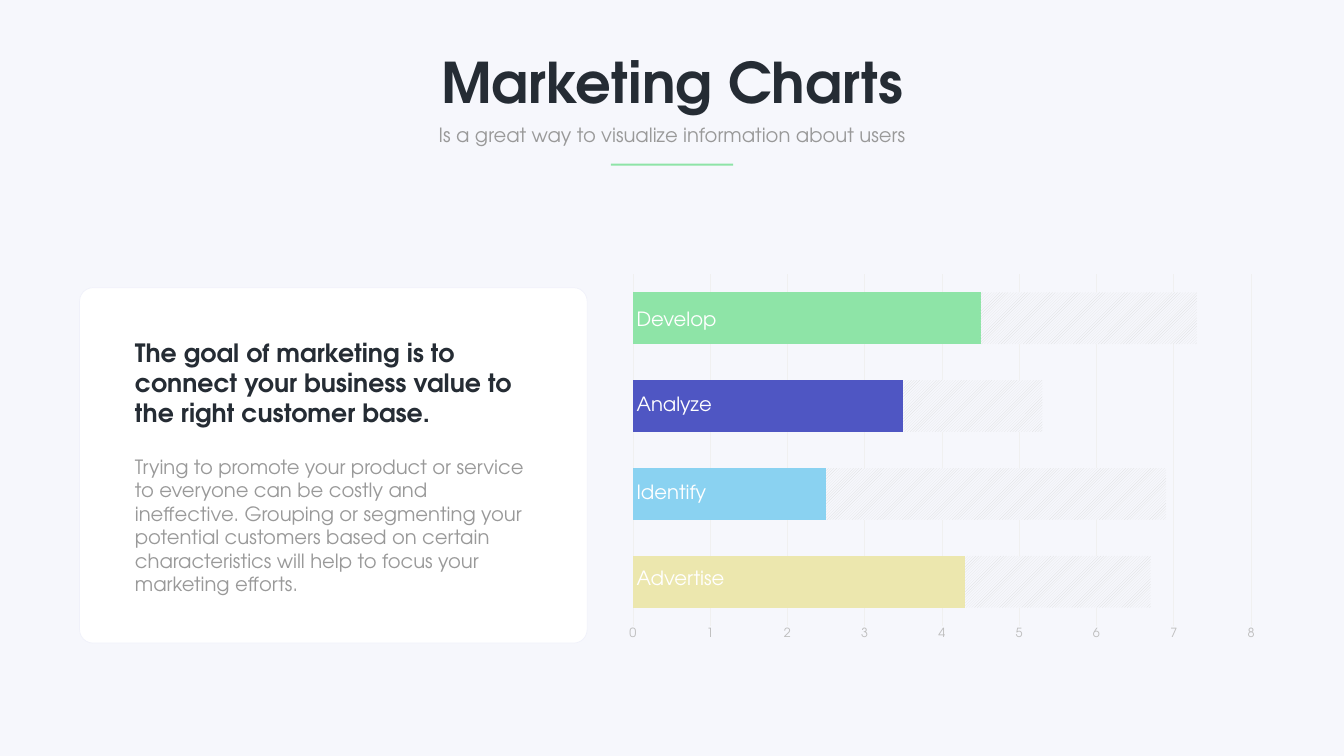
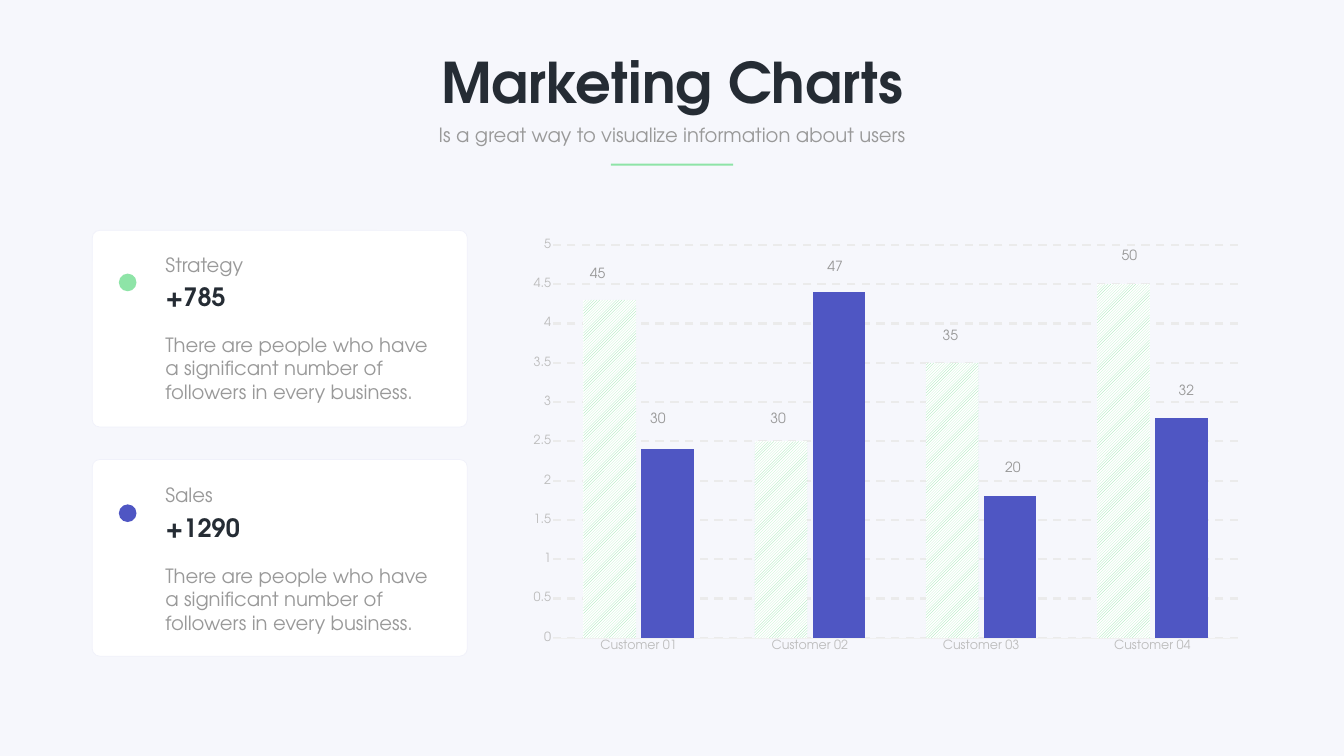
from dataclasses import dataclass
from typing import Any, NamedTuple, Optional

from lxml import etree
from pptx import Presentation
from pptx.chart.data import CategoryChartData
from pptx.dml.color import RGBColor
from pptx.enum.chart import XL_CHART_TYPE, XL_TICK_MARK
from pptx.enum.dml import MSO_LINE, MSO_PATTERN
from pptx.enum.shapes import MSO_SHAPE
from pptx.enum.text import MSO_ANCHOR, MSO_AUTO_SIZE, PP_ALIGN
from pptx.oxml.ns import qn
from pptx.util import Cm, Pt

LEFT, CENTER = PP_ALIGN.LEFT, PP_ALIGN.CENTER
RECTANGLE, ROUNDED, OVAL = MSO_SHAPE.RECTANGLE, MSO_SHAPE.ROUNDED_RECTANGLE, MSO_SHAPE.OVAL
STACKED_BAR, CLUSTERED_COLUMN = XL_CHART_TYPE.BAR_STACKED, XL_CHART_TYPE.COLUMN_CLUSTERED
NO_TICK = XL_TICK_MARK.NONE
DASH, SOLID = MSO_LINE.DASH, MSO_LINE.SOLID
HATCH = MSO_PATTERN.WIDE_UPWARD_DIAGONAL

SLIDE_WIDTH, SLIDE_HEIGHT = 67.73, 38.1


@dataclass(frozen=True)
class Theme:
    font: str = "TeX Gyre Adventor"
    background: str = "F6F7FC"
    white: str = "FFFFFF"
    dark: str = "252C34"
    gray: str = "999999"
    axis_text: str = "BDBDBD"
    card_edge: str = "F0F1FA"
    faint_line: str = "F0F0F0"
    dash_line: str = "EBEBEB"
    hatch_gray: str = "D9D9D9"
    green: str = "8EE4A7"
    indigo: str = "4F56C3"
    sky: str = "8AD2F1"
    sand: str = "ECE7AE"
    title_size: int = 80
    strong_size: int = 36
    body_size: int = 28
    label_size: int = 20
    axis_size: int = 18


THEME = Theme()


class Box(NamedTuple):
    left: float
    top: float
    width: float
    height: float

    def lengths(self) -> tuple[Cm, ...]:
        return tuple(Cm(value) for value in self)


class TextStyle(NamedTuple):
    size: int
    color: str
    bold: bool = False
    align: Any = LEFT


class Hatch(NamedTuple):
    front: str
    back: str


class GridLine(NamedTuple):
    color: str
    width: float
    dash: Any = SOLID


class PlotArea(NamedTuple):
    x: float
    y: float
    w: float
    h: float


@dataclass(frozen=True)
class ChartSpec:
    kind: Any
    box: Box
    plot: PlotArea
    categories: tuple[str, ...]
    gap: int
    overlap: int
    maximum: float
    unit: float
    grid: GridLine
    fills: tuple[Any, Any]


class MetricCard(NamedTuple):
    name: str
    value: str
    color: str
    card_top: float
    text_top: float


class PlacedLabel(NamedTuple):
    text: str
    left: float
    top: float


TITLE = TextStyle(THEME.title_size, THEME.dark, True, CENTER)
SUBTITLE = TextStyle(THEME.body_size, THEME.gray, False, CENTER)
STRONG = TextStyle(THEME.strong_size, THEME.dark, True)
BODY = TextStyle(THEME.body_size, THEME.gray)
BAR_LABEL = TextStyle(THEME.body_size, THEME.white)
VALUE_LABEL = TextStyle(THEME.label_size, THEME.gray, False, CENTER)

SERIES = (("Series 1", (4.3, 2.5, 3.5, 4.5)), ("Series 2", (2.4, 4.4, 1.8, 2.8)))
GRAY_HATCH = Hatch(THEME.hatch_gray, THEME.background)

STAGE_CHART = ChartSpec(
    STACKED_BAR, Box(30.91, 13.44, 32.79, 19.25), PlotArea(0.03, 0.02, 0.95, 0.92),
    ("1", "2", "3", "4"), 70, 100, 8, 1, GridLine(THEME.faint_line, 0.75),
    (THEME.green, GRAY_HATCH),
)
STAGE_COLORS = (THEME.sand, THEME.sky, THEME.indigo, THEME.green)
STAGE_LABELS = (
    PlacedLabel("Develop", 31.83, 15.34),
    PlacedLabel("Analyze", 31.83, 19.63),
    PlacedLabel("Identify", 31.83, 24.05),
    PlacedLabel("Advertise", 31.83, 28.4),
)

CUSTOMER_CHART = ChartSpec(
    CLUSTERED_COLUMN, Box(26.21, 11.61, 36.88, 21.69), PlotArea(0.045, 0.034, 0.936, 0.913),
    tuple(f"Customer {number:02}" for number in range(1, 5)), 115, -10, 5, 0.5,
    GridLine(THEME.dash_line, 3, DASH),
    (Hatch(THEME.green, THEME.white), THEME.indigo),
)
CUSTOMER_LABELS = (
    PlacedLabel("45", 29.36, 13.23),
    PlacedLabel("30", 32.39, 20.52),
    PlacedLabel("30", 38.46, 20.52),
    PlacedLabel("47", 41.33, 12.83),
    PlacedLabel("35", 47.14, 16.31),
    PlacedLabel("20", 50.29, 22.99),
    PlacedLabel("50", 56.16, 12.32),
    PlacedLabel("32", 59.03, 19.1),
)
METRICS = (
    MetricCard("Strategy", "+785", THEME.green, 11.61, 12.6),
    MetricCard("Sales", "+1290", THEME.indigo, 23.16, 24.23),
)


def rgb(color: str) -> RGBColor:
    return RGBColor.from_string(color)


def set_values(target: Any, values: dict[str, Any]) -> None:
    for name, value in values.items():
        setattr(target, name, value)


def style_font(font: Any, size: int, color: str, bold: bool = False) -> None:
    set_values(font, {"name": THEME.font, "size": Pt(size), "bold": bold})
    font.color.rgb = rgb(color)


def paint(fill: Any, color: Any) -> None:
    if isinstance(color, Hatch):
        fill.patterned()
        fill.pattern = HATCH
        fill.fore_color.rgb = rgb(color.front)
        fill.back_color.rgb = rgb(color.back)
    else:
        fill.solid()
        fill.fore_color.rgb = rgb(color)


def write(shape: Any, text: str, style: TextStyle) -> None:
    frame = shape.text_frame
    frame.text = text
    set_values(frame, {"word_wrap": True, "auto_size": MSO_AUTO_SIZE.NONE,
                       "vertical_anchor": MSO_ANCHOR.TOP})
    paragraph = frame.paragraphs[0]
    set_values(paragraph, {"alignment": style.align, "space_before": Pt(0)})
    style_font(paragraph.runs[0].font, style.size, style.color, style.bold)


def add_text(slide: Any, box: Box, text: str, style: TextStyle) -> None:
    write(slide.shapes.add_textbox(*box.lengths()), text, style)


def add_shape(slide: Any, kind: Any, box: Box, color: str, edge: Optional[str] = None) -> Any:
    shape = slide.shapes.add_shape(kind, *box.lengths())
    shape.shadow.inherit = False
    paint(shape.fill, color)
    if edge:
        shape.line.color.rgb = rgb(edge)
        shape.line.width = Pt(1)
    else:
        shape.line.fill.background()
    return shape


def add_card(slide: Any, box: Box) -> None:
    card = add_shape(slide, ROUNDED, box, THEME.white, THEME.card_edge)
    card.adjustments[0] = 0.038


def centered(top: float, width: float, height: float) -> Box:
    return Box((SLIDE_WIDTH - width) / 2, top, width, height)


def add_header_slide(presentation: Any) -> Any:
    slide = presentation.slides.add_slide(presentation.slide_layouts[0])
    title, subtitle = slide.placeholders
    for shape, box, text, style in (
        (title, centered(2.29, 32.79, 3.68), "Marketing Charts", TITLE),
        (subtitle, centered(6.05, 24.28, 1.45),
         "Is a great way to visualize information about users", SUBTITLE),
    ):
        set_values(shape, dict(zip(Box._fields, box.lengths())))
        write(shape, text, style)
    add_shape(slide, RECTANGLE, centered(8.25, 6.17, 0.1), THEME.green)
    return slide


def place_plot(chart: Any, plot: PlotArea) -> None:
    area = chart.element.find(".//" + qn("c:plotArea"))
    for old in area.findall(qn("c:layout")):
        area.remove(old)
    layout = etree.Element(qn("c:layout"))
    manual = etree.SubElement(layout, qn("c:manualLayout"))
    settings = {"layoutTarget": "inner", "xMode": "edge", "yMode": "edge", **plot._asdict()}
    for name, value in settings.items():
        etree.SubElement(manual, qn(f"c:{name}")).set("val", str(value))
    area.insert(0, layout)


def add_chart(slide: Any, spec: ChartSpec) -> Any:
    data = CategoryChartData()
    data.categories = spec.categories
    for name, values in SERIES:
        data.add_series(name, values)
    chart = slide.shapes.add_chart(spec.kind, *spec.box.lengths(), data).chart
    set_values(chart, {"has_legend": False, "has_title": False})
    style_font(chart.font, THEME.axis_size, THEME.gray)
    place_plot(chart, spec.plot)

    bars = chart.plots[0]
    set_values(bars, {"gap_width": spec.gap, "overlap": spec.overlap, "vary_by_categories": False})
    for series, color in zip(bars.series, spec.fills):
        series.invert_if_negative = False
        paint(series.format.fill, color)

    for axis in (chart.category_axis, chart.value_axis):
        set_values(axis, {"major_tick_mark": NO_TICK, "minor_tick_mark": NO_TICK})
        style_font(axis.tick_labels.font, THEME.axis_size, THEME.axis_text)
    category_line = chart.category_axis.format.line
    category_line.color.rgb = rgb(THEME.faint_line)
    category_line.width = Pt(0.75)

    value_axis = chart.value_axis
    set_values(value_axis, {"minimum_scale": 0, "maximum_scale": spec.maximum,
                            "major_unit": spec.unit, "has_major_gridlines": True})
    value_axis.format.line.fill.background()
    grid_line = value_axis.major_gridlines.format.line
    grid_line.color.rgb = rgb(spec.grid.color)
    set_values(grid_line, {"width": Pt(spec.grid.width), "dash_style": spec.grid.dash})
    return chart


def build_stage_slide(presentation: Any) -> None:
    slide = add_header_slide(presentation)
    chart = add_chart(slide, STAGE_CHART)
    chart.category_axis.visible = False
    progress = chart.plots[0].series[0]
    for index, color in enumerate(STAGE_COLORS):
        paint(progress.points[index].format.fill, color)
    for label in STAGE_LABELS:
        add_text(slide, Box(label.left, label.top, 6.45, 1.45), label.text, BAR_LABEL)
    add_card(slide, Box(4.01, 14.5, 25.58, 17.91))
    add_text(slide, Box(6.55, 22.78, 20.5, 7.44),
             "Trying to promote your product or service to everyone can be costly and "
             "ineffective. Grouping or segmenting your potential customers based on certain "
             "characteristics will help to focus your marketing efforts.", BODY)
    add_text(slide, Box(6.55, 16.87, 20.5, 4.88),
             "The goal of marketing is to connect your business value to the right "
             "customer base.", STRONG)


def add_metric(slide: Any, metric: MetricCard) -> None:
    top = metric.text_top
    add_card(slide, Box(4.65, metric.card_top, 18.9, 9.91))
    add_shape(slide, OVAL, Box(5.99, top + 1.19, 0.89, 0.89), metric.color)
    add_text(slide, Box(8.08, top, 8.92, 1.45), metric.name, BODY)
    add_text(slide, Box(8.08, top + 1.47, 8.92, 1.8), metric.value, STRONG)
    add_text(slide, Box(8.08, top + 4.04, 14.27, 3.84),
             "There are people who have a significant number of followers in every business.", BODY)


def build_customer_slide(presentation: Any) -> None:
    slide = add_header_slide(presentation)
    add_chart(slide, CUSTOMER_CHART)
    for label in CUSTOMER_LABELS:
        add_text(slide, Box(label.left, label.top, 1.52, 1.32), label.text, VALUE_LABEL)
    for metric in METRICS:
        add_metric(slide, metric)


def main() -> None:
    presentation = Presentation()
    set_values(presentation, {"slide_width": Cm(SLIDE_WIDTH), "slide_height": Cm(SLIDE_HEIGHT)})
    paint(presentation.slide_master.background.fill, THEME.background)
    build_stage_slide(presentation)
    build_customer_slide(presentation)
    presentation.save("out.pptx")


if __name__ == "__main__":
    main()
